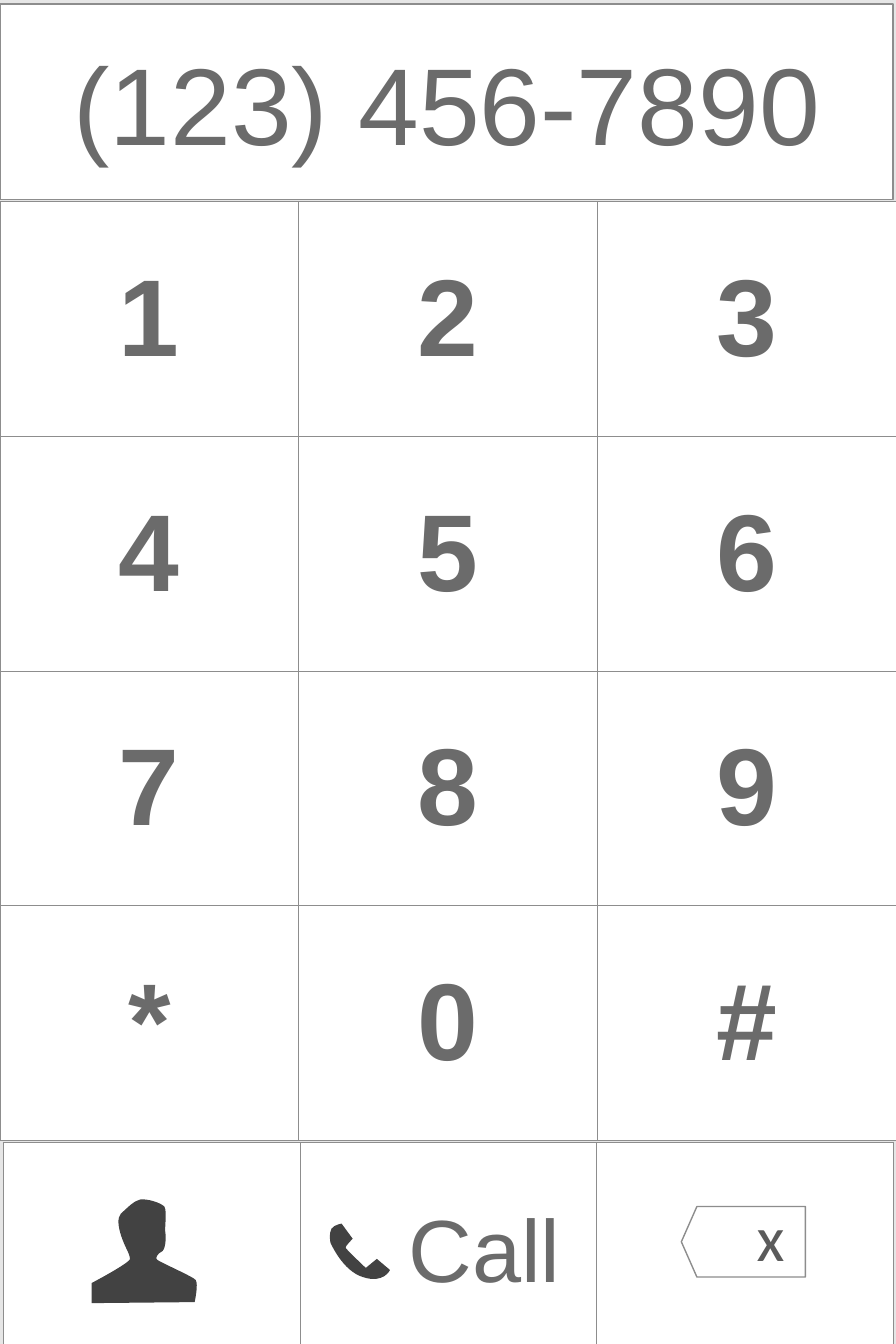
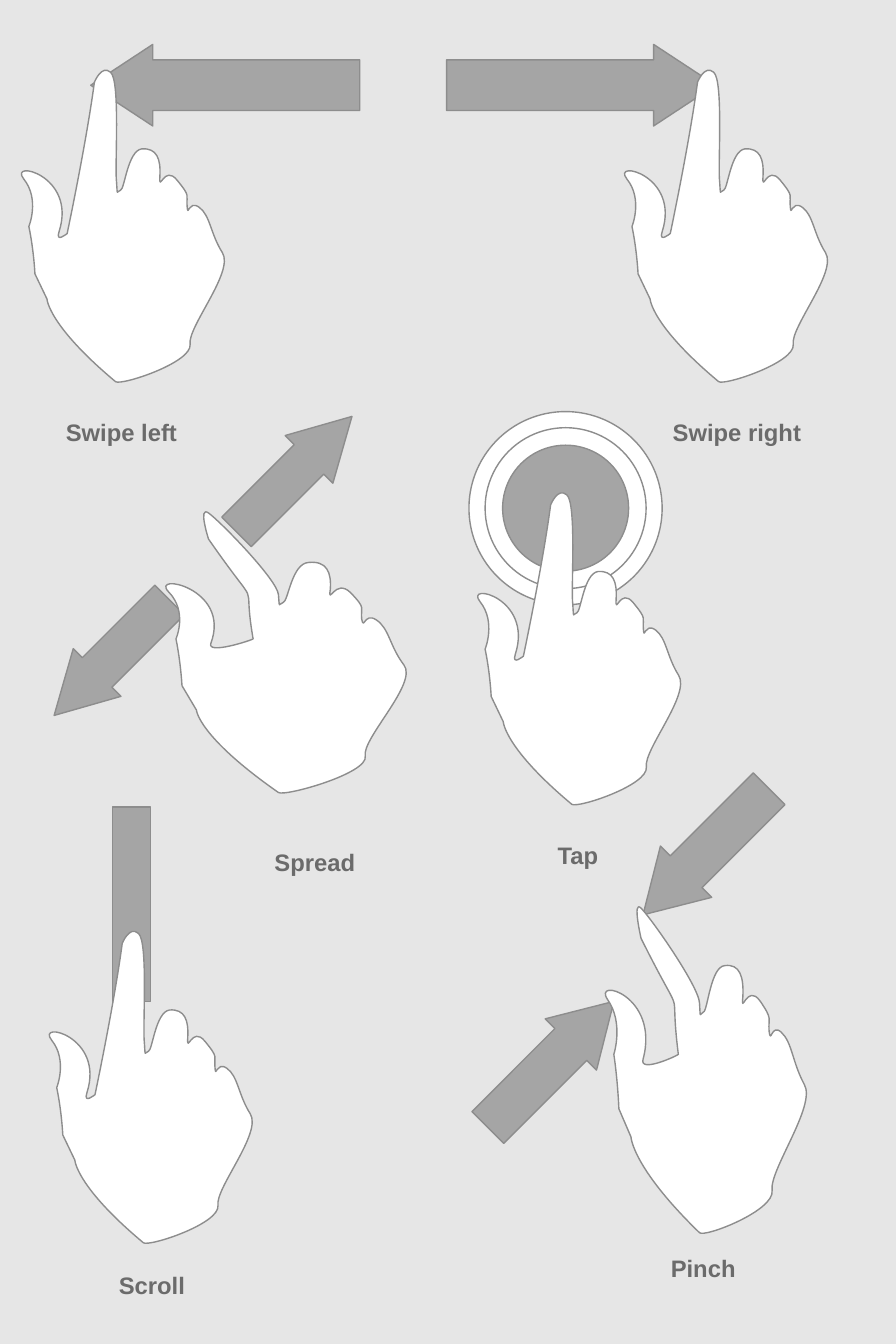
from pptx import Presentation
from pptx.dml.color import RGBColor
from pptx.enum.shapes import MSO_SHAPE as SHAPE
from pptx.enum.text import MSO_ANCHOR as ANCHOR, PP_ALIGN as ALIGN
from pptx.oxml import parse_xml
from pptx.oxml.ns import nsdecls
from pptx.util import Pt

# Shared look
WHITE, BACK, ARROW, EDGE = "FFFFFF", "E6E6E6", "A5A5A5", "8D8D8D"
TEXT, ICON, DELETE = "6B6B6B", "000000", "5B5B5B"
rgb = RGBColor.from_string

# Outlines: grid width and height, then the steps from the starting point on;
# a pair is a straight line, six numbers are a Bézier curve
PERSON = [
    (104, 103), (0, 103), (0, 83), (0, 83, 38, 63, 38, 59),
    (38, 56, 35, 50, 35, 50), (35, 50, 21, 23, 29, 14),
    (38, 6, 41, 2, 48, 0), (55, -1, 68, 3, 72, 7),
    (75, 12, 72, 29, 73, 33), (74, 38, 73, 51, 69, 52),
    (66, 53, 62, 59, 65, 60), (67, 62, 101, 77, 103, 80),
    (106, 84, 102, 102, 102, 102),
]
HANDSET = [
    (60, 55), (12, 0), (23, 15), (23, 15, 15, 23, 16, 24),
    (17, 26, 36, 44, 36, 44), (47, 35), (60, 46),
    (60, 46, 54, 60, 33, 53), (13, 47, 1, 19, 1, 19),
    (1, 19, -1, 10, 2, 5), (5, 1, 12, 0, 12, 0),
]
POINTING_HAND = [
    (201, 310), (13, 202), (13, 202, 12, 179, 7, 155),
    (7, 155, 18, 128, 2, 108), (-14, 88, 55, 104, 37, 160),
    (33, 172, 45, 162, 45, 162), (45, 162, 64, 72, 72, 12),
    (72, 12, 79, -6, 88, 2), (98, 10, 92, 96, 94, 111),
    (95, 126, 94, 120, 98, 119), (102, 118, 105, 80, 119, 78),
    (134, 77, 138, 88, 137, 105), (136, 123, 141, 93, 154, 109),
    (168, 126, 163, 123, 164, 135), (165, 147, 165, 128, 176, 136),
    (187, 144, 187, 162, 199, 181), (211, 200, 164, 255, 167, 272),
    (169, 290, 99, 313, 93, 309), (26, 253, 25, 227, 25, 227),
]
OPEN_HAND = [
    (199, 324), (13, 200), (13, 200, 12, 173, 8, 146),
    (8, 146, 18, 115, 2, 92), (-14, 69, 54, 87, 37, 151),
    (33, 165, 72, 147, 72, 146), (62, 66, 82, 125, 35, 31),
    (35, 31, 26, -8, 35, 1), (45, 11, 92, 78, 93, 95),
    (94, 112, 93, 106, 97, 104), (101, 103, 104, 59, 118, 58),
    (133, 56, 137, 69, 136, 89), (134, 109, 140, 75, 153, 93),
    (166, 112, 161, 109, 162, 123), (164, 137, 164, 115, 174, 124),
    (185, 134, 185, 154, 197, 176), (209, 197, 162, 261, 165, 281),
    (168, 301, 98, 328, 93, 323), (26, 258, 25, 228, 25, 228),
]


def write(tf, text, size, color=TEXT, font="Arial", bold=False,
          align=ALIGN.CENTER):
    """Fill a text frame with one formatted, vertically centred paragraph."""
    tf.word_wrap = True
    tf.vertical_anchor = ANCHOR.MIDDLE
    tf.margin_left = tf.margin_right = Pt(4.5)
    tf.margin_top = tf.margin_bottom = Pt(4.5)
    p = tf.paragraphs[0]
    p.alignment = align
    r = p.add_run()
    r.text = text
    r.font.size, r.font.name, r.font.bold = Pt(size), font, bold
    r.font.color.rgb = rgb(color)


def draw(shapes, form, x, y, w, h, fill=WHITE, line=EDGE, rot=0, adj=()):
    """Draw a preset shape, or a curved outline stretched to the given box."""
    if isinstance(form, list):
        fb = shapes.build_freeform(Pt(x), Pt(y))
        fb.add_line_segments([(Pt(x + w), Pt(y + h))])
        sp = fb.convert_to_shape()
        # Curves need XML: put the outline's own grid in the freeform
        (grid_w, grid_h), *steps = form
        xml = ""
        for i, step in enumerate(steps):
            tag = "cubicBezTo" if len(step) == 6 else "lnTo" if i else "moveTo"
            pts = "".join(f'<a:pt x="{px}" y="{py}"/>'
                          for px, py in zip(step[::2], step[1::2]))
            xml += f"<a:{tag}>{pts}</a:{tag}>"
        old = sp._element.find(".//{*}path")
        old.getparent().replace(old, parse_xml(
            f'<a:path {nsdecls("a")} w="{grid_w}" h="{grid_h}">'
            f"{xml}<a:close/></a:path>"))
    else:
        sp = shapes.add_shape(form, Pt(x), Pt(y), Pt(w), Pt(h))
        for i, value in enumerate(adj):
            sp.adjustments[i] = value
        sp.rotation = rot
    sp.shadow.inherit = False
    sp.fill.solid()
    sp.fill.fore_color.rgb = rgb(fill)
    if line:
        sp.line.color.rgb = rgb(line)
        sp.line.width = Pt(1)
    else:
        sp.line.fill.background()
    return sp


prs = Presentation()
prs.slide_width, prs.slide_height = Pt(640), Pt(960)
prs.slide_master.background.fill.solid()
prs.slide_master.background.fill.fore_color.rgb = rgb(BACK)
blank = prs.slide_layouts[6]

# Slide 1: phone dialler
s = prs.slides.add_slide(blank)

# Number display
sp = draw(s.shapes, SHAPE.RECTANGLE, 0, 2.9, 638, 139.7)
write(sp.text_frame, "(123) 456-7890", 78)

# Keypad and action bar
KEYS = ["123", "456", "789", "*0#"]
ACTIONS = [["", "Call", ""]]
for rows, x, y, w, row_h, size, bold, align, side in [
    (KEYS, 0, 144, 640, 167.6, 78, True, ALIGN.CENTER, 4.5),
    (ACTIONS, 2.3, 816, 636, 156, 63, False, ALIGN.RIGHT, 26),
]:
    table = s.shapes.add_table(len(rows), 3, Pt(x), Pt(y), Pt(w),
                               Pt(row_h * len(rows))).table
    table.first_row = table.horz_banding = False
    for i, row in enumerate(rows):
        for j, text in enumerate(row):
            cell = table.cell(i, j)
            if text:
                write(cell.text_frame, text, size, bold=bold, align=align)
            cell.vertical_anchor = ANCHOR.MIDDLE
            cell.margin_left = cell.margin_right = Pt(side)
            cell.margin_top = cell.margin_bottom = Pt(3.6)
            cell.fill.solid()
            cell.fill.fore_color.rgb = rgb(WHITE)
            tcPr = cell._tc.get_or_add_tcPr()
            for k, edge in enumerate("LRTB"):
                tcPr.insert(k, parse_xml(
                    f'<a:ln{edge} {nsdecls("a")} w="{Pt(0.45)}"><a:solidFill>'
                    f'<a:srgbClr val="{EDGE}"/></a:solidFill></a:ln{edge}>'))

# Contact and call icons, partly transparent
for outline, x, y, w, h in [(PERSON, 65.5, 856.8, 75, 74),
                            (HANDSET, 235.4, 874, 43.2, 39.6)]:
    sp = draw(s.shapes, outline, x, y, w, h, fill=ICON, line=None)
    clr = sp._element.spPr.find("{*}solidFill/{*}srgbClr")
    clr.append(parse_xml(f'<a:alpha {nsdecls("a")} val="74000"/>'))

# Delete key
key = s.shapes.add_group_shape().shapes
draw(key, SHAPE.RIGHT_ARROW, 486.7, 861.8, 88.6, 50.4, rot=180, adj=(1, 0.22))
tb = key.add_textbox(Pt(517.7), Pt(826.6), Pt(65.5), Pt(112.3))
write(tb.text_frame, "x", 46, color=DELETE, font="Calibri")

# Slide 2: touch gestures
s = prs.slides.add_slide(blank)
POINT_SIZE = (144.7, 223.2)
SWIPE, PINCH, SPREAD = (0.62, 0.76), (0.62, 0.84), (0.62, 0.9)

# Back shapes: form, x, y, w, h, fill, rotation, adjustments
swipe_left = [(SHAPE.RIGHT_ARROW, 64.8, 31.7, 192.2, 58.3, ARROW, 180, SWIPE)]
swipe_right = [(SHAPE.RIGHT_ARROW, 319, 31.7, 192.2, 58.3, ARROW, 0, SWIPE)]
tap_rings = [(SHAPE.OVAL, 404 - d / 2, 363 - d / 2, d, d, fill, 0, ())
             for d, fill in [(138, WHITE), (115, WHITE), (90, ARROW)]]
scroll_bar = [(SHAPE.RECTANGLE, 80.3, 576.4, 27.4, 139, ARROW, 0, ())]
pinch_arrows = [(SHAPE.RIGHT_ARROW, x, y, 127.4, 51.8, ARROW, rot, PINCH)
                for x, y, rot in [(329.8, 734.4, 315), (440.6, 582.5, 135)]]
spread_arrows = [(SHAPE.RIGHT_ARROW, x, y, 116.6, 48.2, ARROW, rot, SPREAD)
                 for x, y, rot in [(21.6, 445.7, 135), (151.9, 314.6, 315)]]

# Gestures: back shapes, hand, hand place, hand size, label, label box, align
for backs, hand, place, size, label, (x, y, w), align in [
    (swipe_left, POINTING_HAND, (15.6, 50.2), POINT_SIZE,
     "Swipe left", (42.5, 293.8, 93), ALIGN.LEFT),
    (swipe_right, POINTING_HAND, (446.4, 50.2), POINT_SIZE,
     "Swipe right", (476, 293.8, 117), ALIGN.LEFT),
    (tap_rings, POINTING_HAND, (341.5, 352.1), POINT_SIZE,
     "Tap", (393.8, 596.2, 45), ALIGN.LEFT),
    (scroll_bar, POINTING_HAND, (35.5, 665.3), POINT_SIZE,
     "Scroll", (62, 903.6, 93), ALIGN.CENTER),
    (pinch_arrows, OPEN_HAND, (432.7, 648), (143.3, 233.3),
     "Pinch", (455.8, 891.4, 93), ALIGN.CENTER),
    (spread_arrows, OPEN_HAND, (118.8, 365.8), (171.4, 200.9),
     "Spread", (191.5, 601.2, 93), ALIGN.LEFT),
]:
    gesture = s.shapes.add_group_shape().shapes
    for *box, fill, rot, adj in backs:
        draw(gesture, *box, fill=fill, rot=rot, adj=adj)
    draw(gesture, hand, *place, *size)
    tb = gesture.add_textbox(Pt(x), Pt(y), Pt(w), Pt(29))
    write(tb.text_frame, label, 17, bold=True, align=align)

prs.save("out.pptx")
